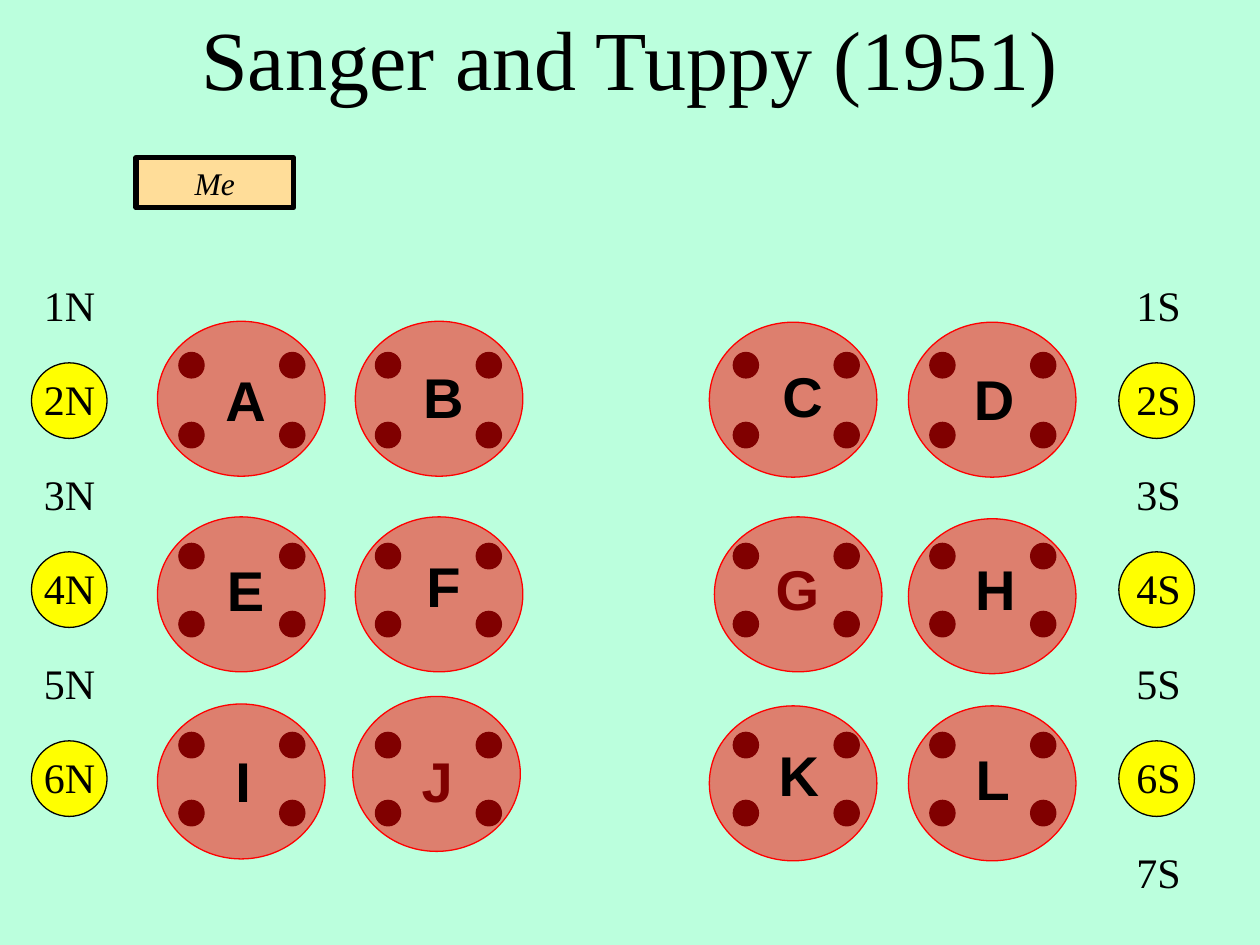
from lxml.etree import SubElement
from pptx import Presentation
from pptx.dml.color import RGBColor
from pptx.enum.shapes import MSO_SHAPE
from pptx.enum.text import MSO_ANCHOR, MSO_AUTO_SIZE, PP_ALIGN
from pptx.oxml.ns import qn
from pptx.util import Inches, Pt

COLORS = {"ground": "BBFFDD", "ink": "000000", "badge": "FFFF00",
          "me": "FFDD99", "well": "FF0000"}

deck = Presentation()
deck.slide_width, deck.slide_height = Inches(10), Inches(7.5)
# Ten columns by ten rows; neighbouring side labels are one row apart
COL, ROW = deck.slide_width / 10, deck.slide_height / 10

slide = deck.slides.add_slide(deck.slide_layouts[5])
slide.background.fill.solid()
slide.background.fill.fore_color.rgb = RGBColor.from_string(COLORS["ground"])


def add_shape(kind, col, row, cols, rows, color, line="ink", weight=0.75, alpha=None):
    shape = slide.shapes.add_shape(
        kind, int(col * COL), int(row * ROW), int(cols * COL), int(rows * ROW))
    shape.shadow.inherit = False
    shape.fill.solid()
    shape.fill.fore_color.rgb = RGBColor.from_string(COLORS[color])
    shape.line.color.rgb = RGBColor.from_string(COLORS[line])
    shape.line.width = Pt(weight)
    if alpha:
        solid = shape.fill._xPr.find(qn("a:solidFill"))
        SubElement(solid[0], qn("a:alpha"), val=str(alpha * 1000))
    return shape


def write(text, holder=None, box=None, size=24, font="Times New Roman",
          bold=False, italic=False, align=PP_ALIGN.CENTER, anchor=MSO_ANCHOR.TOP):
    if holder is None:
        col, row, cols, rows = box
        holder = slide.shapes.add_textbox(
            int(col * COL), int(row * ROW), int(cols * COL), int(rows * ROW))
    frame = holder.text_frame
    frame.word_wrap = True
    frame.auto_size = MSO_AUTO_SIZE.NONE
    frame.vertical_anchor = anchor
    frame.text = text
    paragraph = frame.paragraphs[0]
    paragraph.alignment = align
    paragraph.font.size, paragraph.font.name = Pt(size), font
    paragraph.font.bold, paragraph.font.italic = bold, italic
    paragraph.font.color.rgb = RGBColor.from_string(COLORS["ink"])


# Title
title = slide.shapes.title
title.left, title.top = int(0.87 * COL), 0
title.width, title.height = int(8.25 * COL), int(1.2 * ROW)
write("Sanger and Tuppy (1951)", holder=title, size=48)

# My own place
me = add_shape(MSO_SHAPE.RECTANGLE, 1.08, 1.67, 1.25, 0.53, "me", weight=3)
write("Me", holder=me, size=18, italic=True, anchor=MSO_ANCHOR.MIDDLE)

# Numbered positions on both sides, the even ones on a yellow badge
for side, count, badge_col, label_col in (("N", 6, 0.25, 0.25), ("S", 7, 8.88, 8.92)):
    for number in range(1, count + 1):
        if number % 2 == 0:
            add_shape(MSO_SHAPE.OVAL, badge_col, number + 1.84, 0.6, 0.8, "badge")
        write(f"{number}{side}", box=(label_col, number + 1.89, 0.67, 0.67),
              align=PP_ALIGN.LEFT)

# Four seats at each table
for seat_row in (3.73, 4.47, 5.75, 6.47, 7.75, 8.47):
    for table_col in (1.42, 2.98, 5.82, 7.38):
        for seat_col in (table_col, table_col + 0.8):
            add_shape(MSO_SHAPE.OVAL, seat_col, seat_row, 0.2, 0.27, "ink")

# Tables: letter, left column, top row, centre column and top row of the letter
tables = [
    ("A", 1.25, 3.40, 1.95, 3.80), ("B", 2.82, 3.40, 3.52, 3.77),
    ("C", 5.63, 3.41, 6.37, 3.76), ("D", 7.21, 3.41, 7.89, 3.79),
    ("E", 1.25, 5.47, 1.95, 5.81), ("F", 2.82, 5.47, 3.52, 5.77),
    ("H", 7.21, 5.49, 7.90, 5.80), ("I", 1.25, 7.45, 1.93, 7.83),
    ("K", 5.63, 7.47, 6.34, 7.77), ("L", 7.21, 7.47, 7.88, 7.81),
]
# These two cover their letters and so tint them
covering_tables = [("G", 5.67, 5.47, 6.33, 5.80), ("J", 2.80, 7.37, 3.47, 7.83)]

for letter, col, row, center, letter_row in tables:
    add_shape(MSO_SHAPE.OVAL, col, row, 1.33, 1.64, "well", line="well", alpha=50)
for letter, col, row, center, letter_row in tables + covering_tables:
    write(letter, box=(center - 0.45, letter_row, 0.9, 0.85),
          size=32, font="Arial", bold=True)
for letter, col, row, center, letter_row in covering_tables:
    add_shape(MSO_SHAPE.OVAL, col, row, 1.33, 1.64, "well", line="well", alpha=50)

deck.save("out.pptx")
